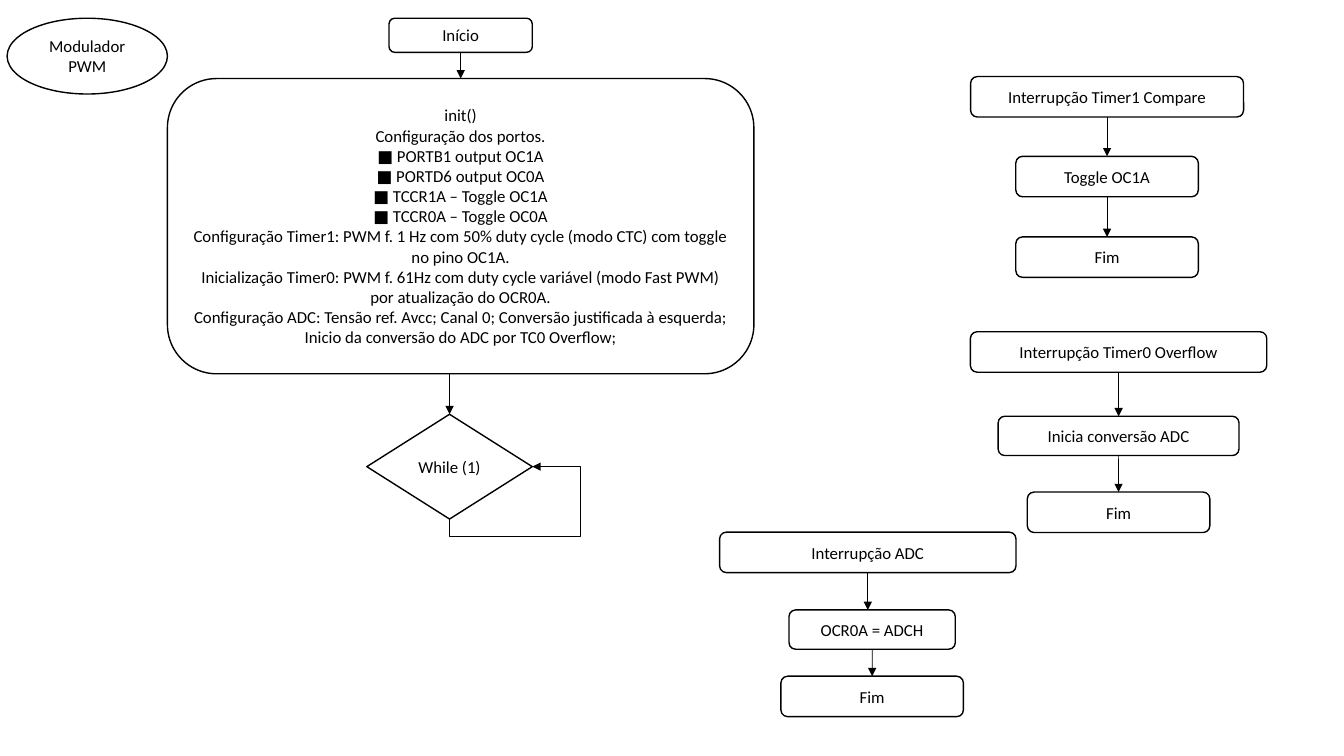
from lxml import etree
from pptx import Presentation
from pptx import util as u
from pptx.dml.color import RGBColor
from pptx.enum import shapes, text
from pptx.oxml import ns

ROUND = shapes.MSO_SHAPE.ROUNDED_RECTANGLE
STEP = shapes.MSO_SHAPE.FLOWCHART_ALTERNATE_PROCESS
DECISION = shapes.MSO_SHAPE.FLOWCHART_DECISION
OVAL = shapes.MSO_SHAPE.OVAL

INIT_LINES = [
    "init()",
    "Configuração dos portos.",
    "■ PORTB1 output OC1A",
    "■ PORTD6 output OC0A",
    "■ TCCR1A – Toggle OC1A",
    "■ TCCR0A – Toggle OC0A",
    "Configuração Timer1: PWM f. 1 Hz com 50% duty cycle (modo CTC) com toggle no pino OC1A.",
    "Inicialização Timer0: PWM f. 61Hz com duty cycle variável (modo Fast PWM) por atualização do OCR0A.",
    "Configuração ADC: Tensão ref. Avcc; Canal 0; Conversão justificada à esquerda; "
    "Inicio da conversão do ADC por TC0 Overflow;",
]

# Each step: kind, centre x, top, width, height, lines
FLOWS = {
    "modulator": [(OVAL, 2.2, 0.46, 4.04, 1.91, ["Modulador PWM"])],
    "main": [
        (ROUND, 11.61, 0.46, 3.61, 0.86, ["Início"]),
        (ROUND, 11.61, 1.98, 14.78, 7.44, INIT_LINES),
        (DECISION, 11.33, 10.44, 4.17, 2.64, ["While (1)"]),
    ],
    "timer1": [
        (ROUND, 27.9, 1.93, 6.88, 1.02, ["Interrupção Timer1 Compare"]),
        (STEP, 27.9, 3.94, 4.6, 1.02, ["Toggle OC1A"]),
        (STEP, 27.9, 5.97, 4.6, 1.02, ["Fim"]),
    ],
    "timer0": [
        (STEP, 28.19, 8.36, 7.47, 1.02, ["Interrupção Timer0 Overflow"]),
        (STEP, 28.19, 10.49, 6.07, 0.99, ["Inicia conversão ADC"]),
        (STEP, 28.19, 12.4, 4.6, 1.02, ["Fim"]),
    ],
    "adc": [
        (STEP, 21.87, 13.41, 7.47, 1.02, ["Interrupção ADC"]),
        (STEP, 21.98, 15.37, 4.19, 0.99, ["OCR0A = ADCH"]),
        (STEP, 21.98, 17.04, 4.6, 1.02, ["Fim"]),
    ],
}
LOOP_DROP, LOOP_REACH = 0.43, 1.2


def colour(value):
    return RGBColor.from_string(value)


def write(shape, lines, size=12, font="Calibri", ink="000000", align=text.PP_ALIGN.CENTER):
    frame = shape.text_frame
    frame.word_wrap = True
    frame.vertical_anchor = text.MSO_ANCHOR.MIDDLE
    for number, line in enumerate(lines):
        paragraph = frame.add_paragraph() if number else frame.paragraphs[0]
        paragraph.alignment = align
        run = paragraph.add_run()
        run.text = line
        run.font.size = u.Pt(size)
        run.font.name = font
        run.font.color.rgb = colour(ink)


def add_step(slide, kind, centre, top, width, height, lines):
    step = slide.shapes.add_shape(
        kind, u.Cm(centre - width / 2), u.Cm(top), u.Cm(width), u.Cm(height))
    step.shadow.inherit = False
    step.fill.solid()
    step.fill.fore_color.rgb = colour("FFFFFF")
    step.line.color.rgb = colour("000000")
    step.line.width = u.Pt(1)
    write(step, lines)
    return step


def add_arrow(slide, kind, *ends):
    arrow = slide.shapes.add_connector(kind, *ends)
    arrow.line.color.rgb = colour("000000")
    arrow.line.width = u.Pt(0.5)
    properties = arrow.element.spPr
    head = etree.SubElement(properties.find(ns.qn("a:ln")), ns.qn("a:tailEnd"))
    head.set("type", "triangle")
    etree.SubElement(properties, ns.qn("a:effectLst"))
    return arrow


def middle(step):
    return step.left + step.width // 2


def join(slide, source, target):
    aligned = abs(middle(source) - middle(target)) < u.Cm(0.02)
    to_decision = target.auto_shape_type == DECISION
    x = middle(target if to_decision else source)
    arrow = add_arrow(slide, shapes.MSO_CONNECTOR.STRAIGHT,
                      x, source.top + source.height, x, target.top)
    if aligned or not to_decision:
        arrow.begin_connect(source, 2)
    if aligned or to_decision:
        arrow.end_connect(target, 0)


def add_loop(slide, decision):
    across, rise = decision.width // 2, decision.height // 2
    start_x, end_y = middle(decision), decision.top + rise
    loop = add_arrow(slide, shapes.MSO_CONNECTOR.ELBOW, 0, 0, 0, 0)
    loop.begin_connect(decision, 2)
    loop.end_connect(decision, 3)
    loop.left = start_x + (across - rise) // 2
    loop.top = end_y + (rise - across) // 2
    loop.width, loop.height = rise, across
    frame = loop.element.spPr.find(ns.qn("a:xfrm"))
    for key, value in (("rot", "5400000"), ("flipH", "1"), ("flipV", "1")):
        frame.set(key, value)
    geometry = loop.element.spPr.find(ns.qn("a:prstGeom"))
    geometry.set("prst", "bentConnector4")
    guides = geometry.find(ns.qn("a:avLst"))
    bends = (-u.Cm(LOOP_DROP) / rise, 1 + u.Cm(LOOP_REACH) / across)
    for number, bend in enumerate(bends, 1):
        guide = etree.SubElement(guides, ns.qn("a:gd"))
        guide.set("name", f"adj{number}")
        guide.set("fmla", f"val {round(bend * 100000)}")


def main():
    deck = Presentation()
    deck.slide_width, deck.slide_height = u.Cm(33.87), u.Cm(19.05)
    slide = deck.slides.add_slide(deck.slide_layouts[6])
    for flow, content in FLOWS.items():
        steps = [add_step(slide, *step) for step in content]
        for source, target in zip(steps, steps[1:]):
            join(slide, source, target)
        if flow == "main":
            add_loop(slide, steps[-1])
    deck.save("out.pptx")


if __name__ == "__main__":
    main()
